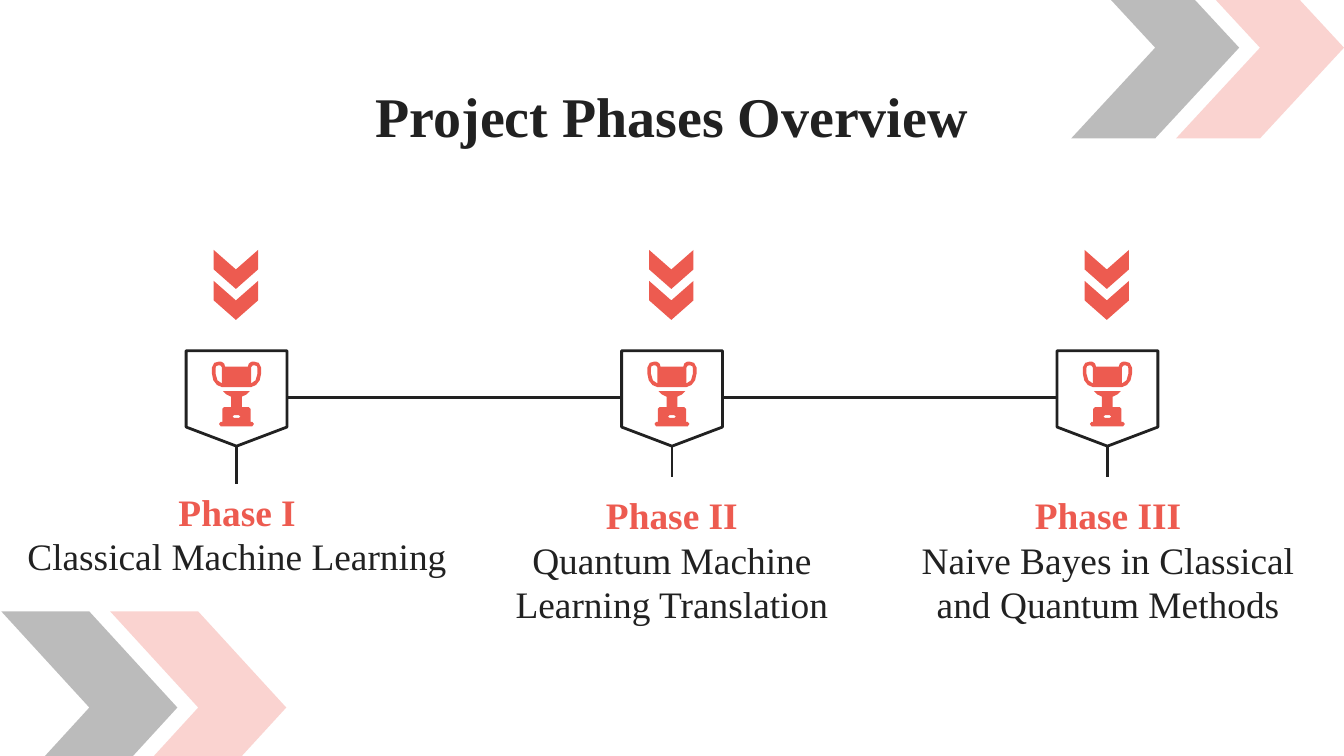
from lxml import etree
from pptx import Presentation
from pptx import util as u
from pptx.dml.color import RGBColor
from pptx.enum import shapes, text
from pptx.oxml.ns import qn

FONT = "Times New Roman"
INK, CORAL, PINK = "212121", "ED5B50", "F06F65"
BADGE_W, BADGE_H = 0.75, 0.71
BADGE_TOP, LINE_Y = 2.61, 2.96
FIRST_X, STEP = 1.76, 3.24
PHASES = [
    ("Phase I", "Classical Machine Learning", 0.28, (0.01, 3.6, 3.51, 0.7)),
    ("Phase II", "Quantum Machine Learning Translation", 0.23, (3.48, 3.6, 3.04, 1.08)),
    ("Phase III", "Naive Bayes in Classical and Quantum Methods", 0.23, (6.69, 3.6, 3.11, 1.08)),
]
STAND = [(100, 300), (75, 325), (40, 342), (40, 420), (92, 420), (105, 432),
         (105, 530), (118, 530), (130, 545), (118, 562)]
SLOT = [(18, 480), (30, 490), (18, 500)]
CUP = [(85, 118), (92, 95), (110, 82), (130, 80), (165, 90), (183, 125),
       (183, 170), (172, 220), (145, 255), (108, 270)]
HANDLE = [(108, 125), (118, 110), (135, 108), (152, 115), (156, 130),
          (156, 170), (142, 220), (108, 243)]


def color(value):
    """Turn a hex string into a colour."""
    return RGBColor.from_string(value)


def paint(sp, fill=None, line=None, alpha=None):
    """Set the fill, outline and opacity of a shape."""
    sp.shadow.inherit = False
    if fill:
        sp.fill.solid()
        sp.fill.fore_color.rgb = color(fill)
        if alpha:
            clr = sp._element.spPr.find(qn("a:solidFill"))[0]
            etree.SubElement(clr, qn("a:alpha")).set("val", str(alpha * 1000))
    else:
        sp.fill.background()
    if line:
        sp.line.color.rgb = color(line)
        sp.line.width = u.Pt(1.5)
    else:
        sp.line.fill.background()


def add_shape(s, kind, box, **fmt):
    """Add a painted preset shape."""
    sp = s.shapes.add_shape(kind, *map(u.Inches, box))
    paint(sp, **fmt)
    return sp


def add_line(s, *ends):
    """Add a dark straight line from x1, y1 to x2, y2."""
    cx = s.shapes.add_connector(shapes.MSO_CONNECTOR.STRAIGHT, *map(u.Inches, ends))
    cx.line.color.rgb = color(INK)
    cx.line.width = u.Pt(1.5)
    etree.SubElement(cx._element.spPr, qn("a:effectLst"))


def write(p, words, size=20, fill=INK, bold=False):
    """Write formatted, centred words into a paragraph."""
    p.alignment = text.PP_ALIGN.CENTER
    p.line_spacing = 1.0
    p.space_before = u.Pt(0)
    r = p.add_run()
    r.text = words
    r.font.name, r.font.size, r.font.bold = FONT, u.Pt(size), bold
    r.font.color.rgb = color(fill)


def frame(sp, left, top, right, bottom):
    """Set wrapping, middle anchor and insets of a text shape."""
    tf = sp.text_frame
    tf.word_wrap = True
    tf.auto_size = text.MSO_AUTO_SIZE.NONE
    tf.vertical_anchor = text.MSO_ANCHOR.MIDDLE
    tf.margin_left, tf.margin_top = u.Inches(left), u.Inches(top)
    tf.margin_right, tf.margin_bottom = u.Inches(right), u.Inches(bottom)
    return tf


def add_title(s, words, box):
    """Place and fill the title placeholder."""
    sp = s.shapes.title
    sp.left, sp.top, sp.width, sp.height = map(u.Inches, box)
    write(frame(sp, 0.1, 0.1, 0.1, 0.1).paragraphs[0], words, size=30, bold=True)


def add_corner(s, left, top, width, height, step):
    """Add a pair of pale chevrons."""
    for i, fill in enumerate((INK, PINK)):
        add_shape(s, shapes.MSO_SHAPE.CHEVRON, (left + i * step, top, width, height),
                  fill=fill, alpha=30)


def mirror(half):
    """Complete a right-hand outline with its mirror image."""
    return half + [(-x, y) for x, y in reversed(half)]


def add_outline(s, x, y, contours):
    """Add a coral freeform of closed contours around an origin."""
    fb = s.shapes.build_freeform(*contours[0][0], scale=914.4)
    fb.add_line_segments(contours[0][1:])
    for points in contours[1:]:
        fb.move_to(*points[0])
        fb.add_line_segments(points[1:])
    paint(fb.convert_to_shape(u.Inches(x), u.Inches(y)), fill=CORAL)


def add_trophy(s, x, y):
    """Draw a trophy centred on x in a badge whose top is y."""
    add_outline(s, x, y, [mirror(STAND), mirror(SLOT)])
    add_outline(s, x, y, [mirror(CUP), HANDLE, [(-px, py) for px, py in HANDLE]])


def add_phase(s, x, heading, body, stem, box):
    """Add one milestone centred on x, with its label in box."""
    add_shape(s, shapes.MSO_SHAPE.FLOWCHART_OFFPAGE_CONNECTOR,
              (x - BADGE_W / 2, BADGE_TOP, BADGE_W, BADGE_H), line=INK)
    for rise in (0.54, 0.77):
        sp = add_shape(s, shapes.MSO_SHAPE.CHEVRON,
                       (x - 0.15, BADGE_TOP - rise, 0.29, 0.33), fill=CORAL)
        sp.rotation = 90
    add_trophy(s, x, BADGE_TOP)
    bottom = BADGE_TOP + BADGE_H
    add_line(s, x, bottom, x, bottom + stem)
    tf = frame(s.shapes.add_textbox(*map(u.Inches, box)), 0, 0.04, 0, 0)
    write(tf.paragraphs[0], heading, fill=CORAL, bold=True)
    write(tf.add_paragraph(), body)


def main():
    """Build the slide and save it."""
    prs = Presentation()
    prs.slide_width = u.Inches(10)
    prs.slide_height = prs.slide_width * 9 // 16
    s = prs.slides.add_slide(prs.slide_layouts[5])
    add_corner(s, 7.97, -0.32, 1.25, 1.35, 0.78)
    add_corner(s, 0.01, 4.55, 1.31, 1.43, 0.81)
    add_title(s, "Project Phases Overview", (0.78, 0.6, 8.44, 0.52))
    for i, phase in enumerate(PHASES):
        x = FIRST_X + i * STEP
        add_phase(s, x, *phase)
        if i:
            add_line(s, x - STEP + BADGE_W / 2, LINE_Y, x - BADGE_W / 2, LINE_Y)
    prs.save("out.pptx")


if __name__ == "__main__":
    main()
